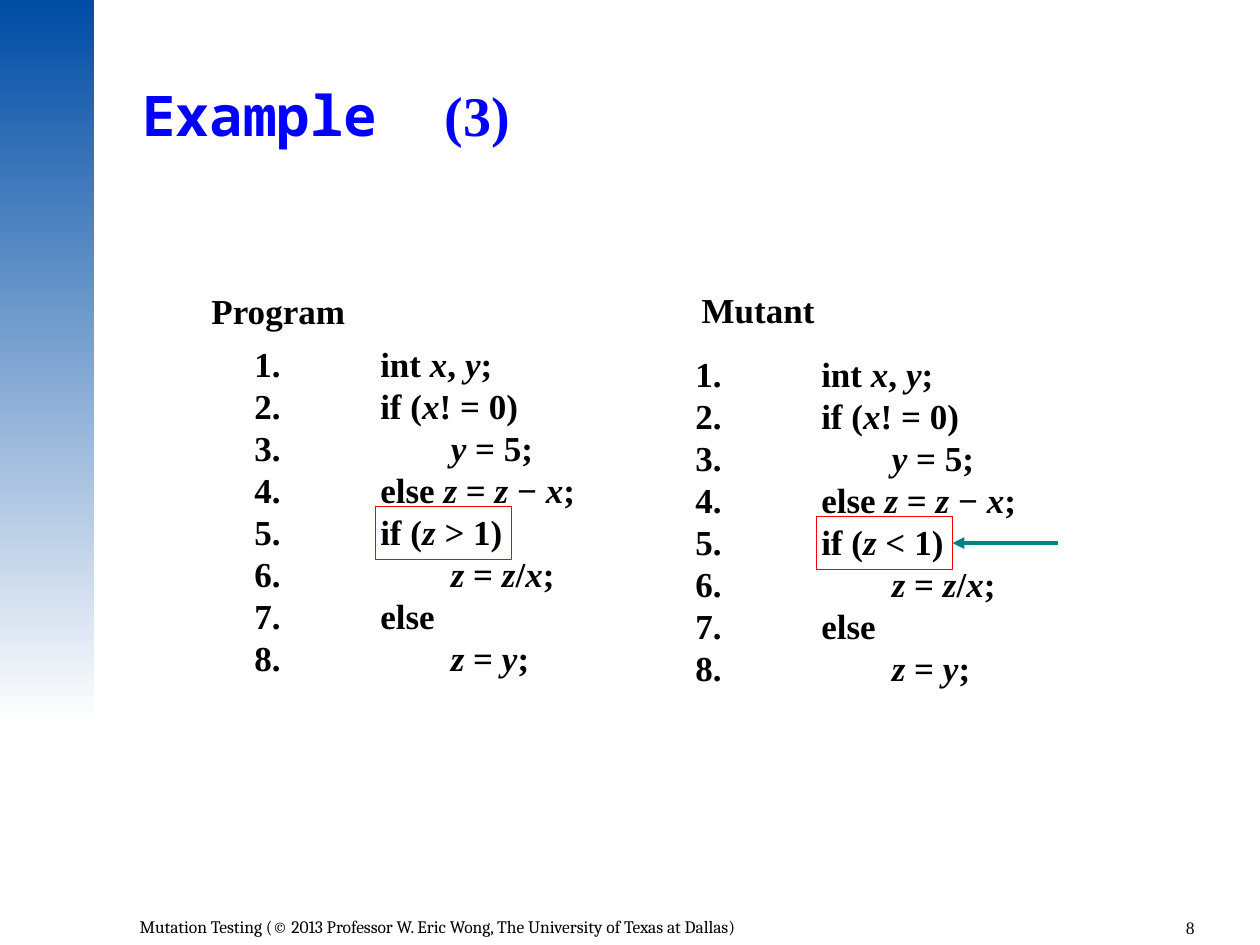
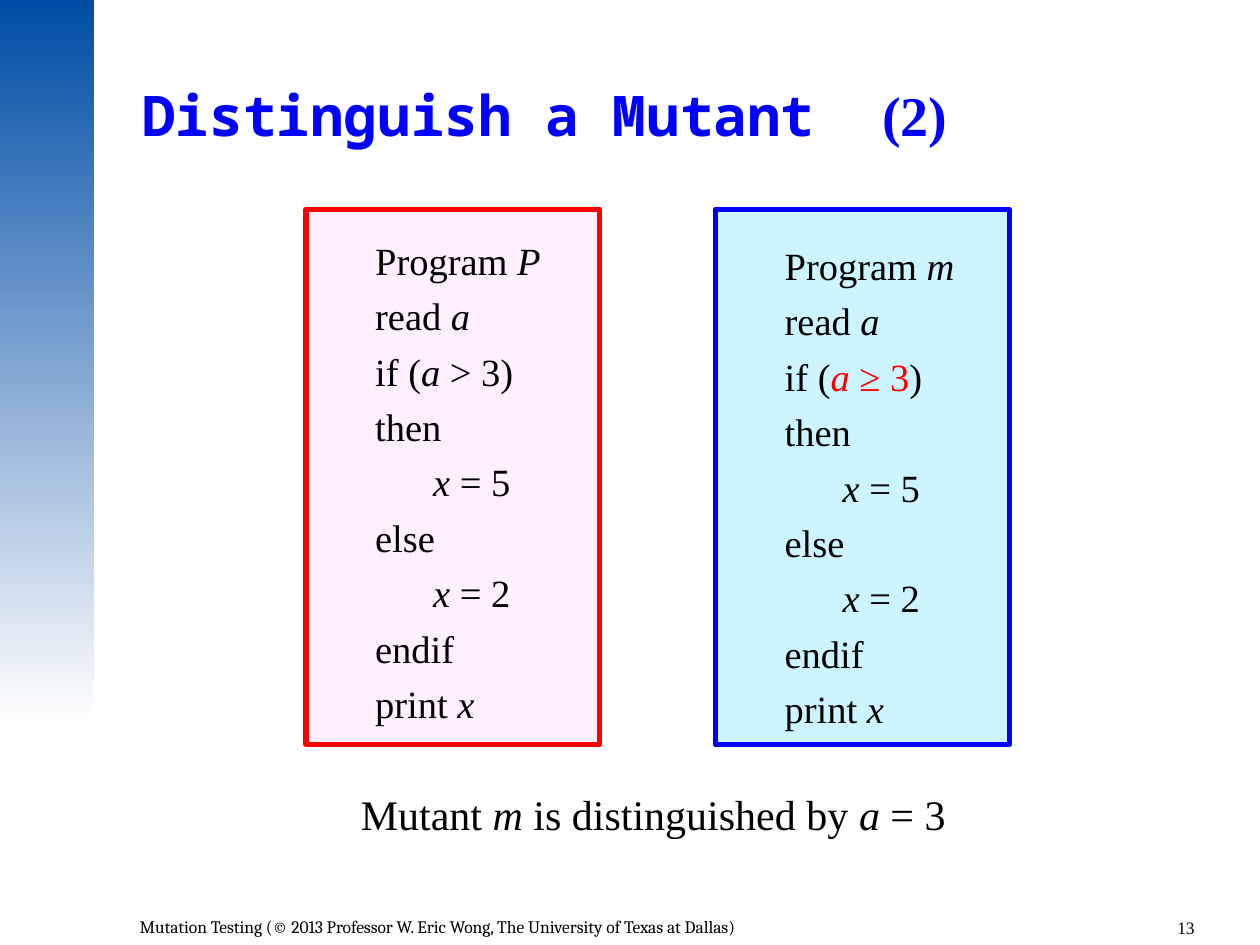
from pptx import Presentation
from pptx import util as u
from pptx.dml.color import RGBColor
from pptx.enum import shapes, text
from pptx.oxml.ns import qn
from lxml import etree

PX = 9144  # 100 px to the inch
BLUE, RED, TEAL = "0000FF", "FF0000", "008282"
BLACK, WHITE, NAVY = "000000", "FFFFFF", "004CA5"
SERIF, MONO, FOOT = "Times New Roman", "Noto Sans Mono", "Cambria"
CREDIT = ("Mutation Testing (© 2013 Professor W. Eric Wong, "
          "The University of Texas at Dallas)")
LEFT, MID, RIGHT = (text.PP_ALIGN.LEFT, text.PP_ALIGN.CENTER,
                    text.PP_ALIGN.RIGHT)
TOP, CENTRE = text.MSO_ANCHOR.TOP, text.MSO_ANCHOR.MIDDLE


def px(*nums):
    return [u.Emu(n * PX) for n in nums]


def rgb(code):
    return RGBColor.from_string(code)


def style(run, size, font, hue, bold=False, slant=False):
    f = run.font
    f.size, f.name, f.bold, f.italic = u.Pt(size), font, bold, slant
    f.color.rgb = rgb(hue)


def write(shape, lines, size=20, font=SERIF, hue=BLACK, bold=False,
          align=LEFT, anchor=TOP, space=None, pad=(10, 5, 10, 5),
          wrap=True, dents=None, stops=None):
    """Fill a shape; *...* is italic and |...| is red."""
    frame = shape.text_frame
    frame.word_wrap, frame.vertical_anchor = wrap, anchor
    frame.auto_size = text.MSO_AUTO_SIZE.NONE
    (frame.margin_left, frame.margin_top,
     frame.margin_right, frame.margin_bottom) = px(*pad)
    for n, line in enumerate(lines):
        para = frame.add_paragraph() if n else frame.paragraphs[0]
        para.alignment = align
        if space:
            para.line_spacing = space
        props = para._p.get_or_add_pPr()
        if dents:
            props.set("marL", str(dents[n] * PX))
            props.set("indent", "0")
        if stops:
            tabs = etree.SubElement(props, qn("a:tabLst"))
            etree.SubElement(tabs, qn("a:tab"), pos=str(stops[n] * PX),
                             algn="l")
        for i, part in enumerate(line.split("|")):
            for j, bit in enumerate(part.split("*")):
                if bit:
                    run = para.add_run()
                    run.text = bit
                    style(run, size, font, RED if i % 2 else hue,
                          bold, j % 2 == 1)


def label(slide, at, lines, **fmt):
    box = slide.shapes.add_textbox(*px(*at))
    write(box, lines, **fmt)


def rect(slide, at, fill=None, line=None, width=1):
    box = slide.shapes.add_shape(shapes.MSO_SHAPE.RECTANGLE, *px(*at))
    box.shadow.inherit = False
    if fill:
        box.fill.solid()
        box.fill.fore_color.rgb = rgb(fill)
    else:
        box.fill.background()
    if line:
        box.line.color.rgb = rgb(line)
        box.line.width = u.Pt(width)
    else:
        box.line.fill.background()
    return box


def arrow(slide, box, end):
    """Arrow that points at the right side of a box."""
    line = slide.shapes.add_connector(
        shapes.MSO_CONNECTOR.STRAIGHT, *px(*end, *end))
    line.begin_connect(box, 3)
    line.line.color.rgb = rgb(TEAL)
    line.line.width = u.Pt(2.25)
    etree.SubElement(line.line._get_or_add_ln(), qn("a:headEnd"),
                     type="triangle")
    etree.SubElement(line._element.spPr, qn("a:effectLst"))


def page(deck, name, part, stop, number):
    """Slide with band, title and footer; stop places the part number."""
    slide = deck.slides.add_slide(deck.slide_layouts[5])
    # Band
    band = rect(slide, (0, 0, 75, 575))
    band.fill.gradient()
    band.fill.gradient_angle = 270
    for mark, hue in zip(band.fill.gradient_stops, (NAVY, WHITE)):
        mark.color.rgb = rgb(hue)
    for mark, spot in zip(band.fill.gradient_stops, (0, 1)):
        mark.position = spot
    # Title
    title = slide.shapes.title
    title.left, title.top, title.width, title.height = px(113, 70, 848, 59)
    write(title, [name + "\t"], size=32, font=MONO, hue=BLUE, bold=True,
          space=0.9, pad=(0, 0, 0, 0), stops=[stop])
    run = title.text_frame.paragraphs[0].add_run()
    run.text = part
    style(run, 32, SERIF, BLUE, True)
    # Footer
    label(slide, (900, 723, 58, 30), [number], size=10, align=RIGHT)
    label(slide, (101, 722, 788, 28), [CREDIT], size=10, font=FOOT)
    return slide


def listing(slide, x, y, head, spot, test):
    """Numbered code under a heading; returns the frame of line 5."""
    code = ["int *x*, *y*;", "if (*x*! = 0)", "*y* = 5;",
            "else *z* = *z* − *x*;", test, "*z* = *z*/*x*;", "else",
            "*z* = *y*;"]
    deep = (3, 6, 8)
    lines = [f"{n}.\t{line}" for n, line in enumerate(code, 1)]
    stops = [156 if n in deep else 100 for n in range(1, len(code) + 1)]
    label(slide, (x, y, 380, 310), lines, bold=True, wrap=False, stops=stops)
    label(slide, (*spot, 133, 44), [head], bold=True)
    return rect(slide, (x + 106, y + 135, 108, 42), line=RED)


def panel(slide, x, name, test, fill, line, drop=0):
    """Coloured box with a short program, moved down by drop."""
    code = [f"Program *{name}*", "read *a*", f"if ({test})", "then",
            "*x* = 5", "else", "*x* = 2", "endif", "print *x*"]
    dents = [91 if row.startswith("*x*") else 45 for row in code]
    box = rect(slide, (x, 166, 233, 425), fill, line, 3)
    write(box, code, size=22, anchor=CENTRE, space=1.2, dents=dents,
          pad=(10, 5 + 2 * drop, 10, 5))


def main():
    deck = Presentation()
    deck.slide_width, deck.slide_height = px(1000, 750)

    # Program and mutant side by side
    slide = page(deck, "Example", "(3)", 240, "8")
    listing(slide, 192, 267, "Program", (158, 225), "if (*z* > 1)")
    frame = listing(slide, 542, 275, "Mutant", (547, 224), "if (*z <* 1)")
    arrow(slide, frame, (840, 431))

    # Two programs and the input that tells them apart
    slide = page(deck, "Distinguish a Mutant", "(2)", 587, "13")
    panel(slide, 243, "P", "*a* > 3", "FFEFFF", RED)
    panel(slide, 568, "m", "|*a* ≥ 3|", "CDF5FF", BLUE, drop=4)
    note = rect(slide, (260, 625, 517, 42), WHITE)
    write(note, ["Mutant *m* is distinguished by *a* = 3"], size=24,
          align=MID, anchor=CENTRE, wrap=False)

    deck.save("out.pptx")


if __name__ == "__main__":
    main()
